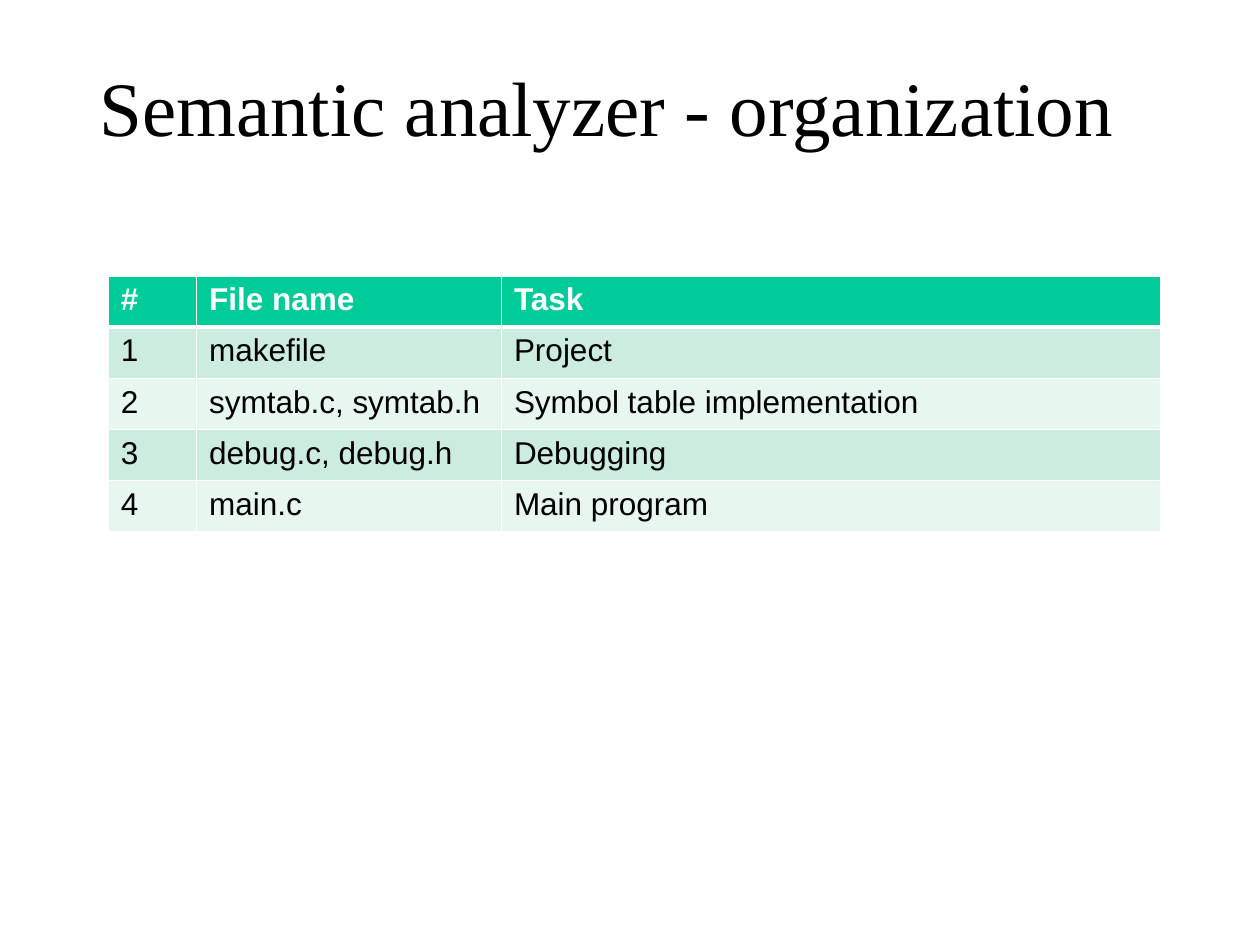
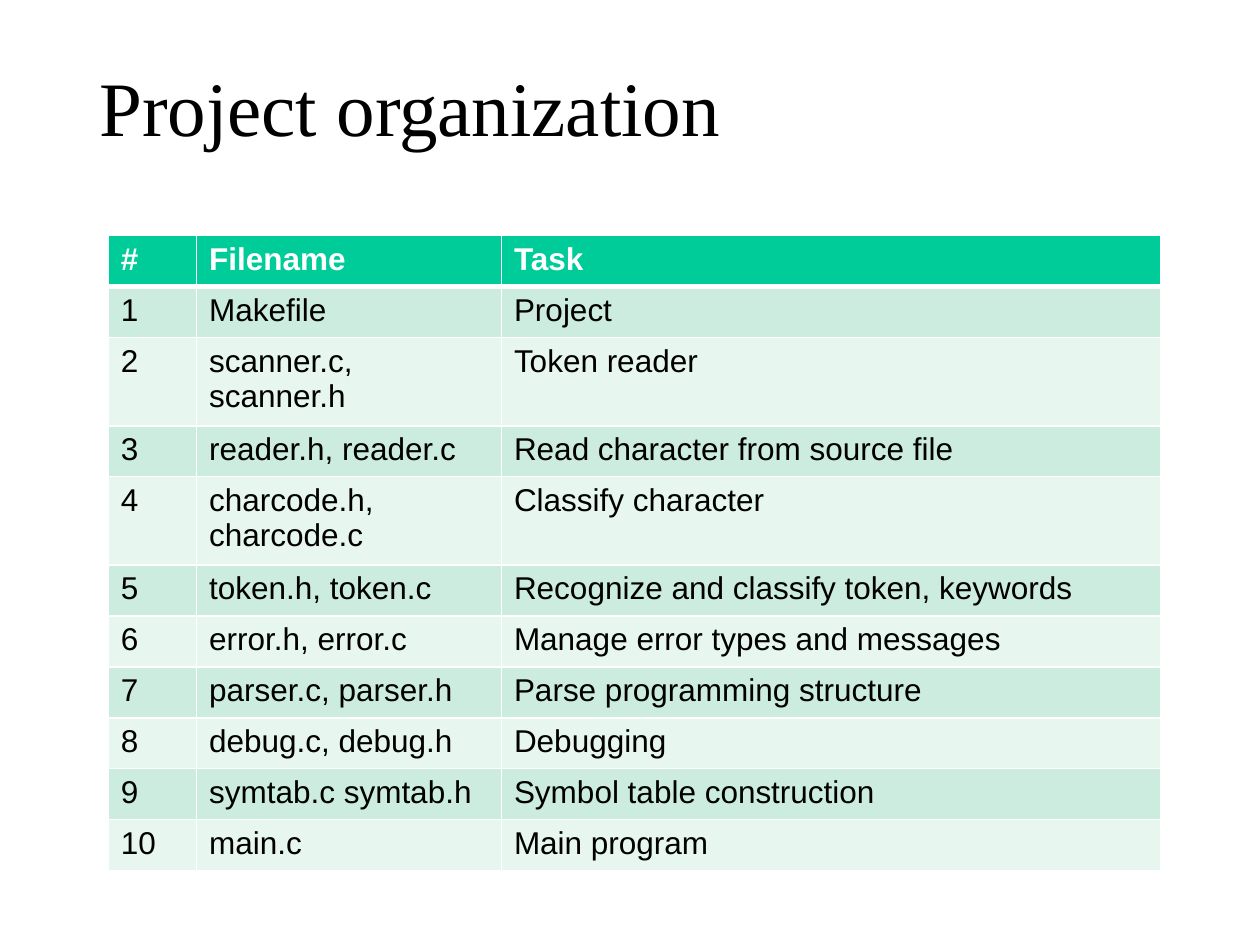
import pptx
import pptx.util
import pptx.dml.color
import pptx.enum.text
import pptx.oxml
import pptx.oxml.ns

Inches = pptx.util.Inches
Color = pptx.dml.color.RGBColor

WHITE = Color(0xFF, 0xFF, 0xFF)
BLACK = Color(0x00, 0x00, 0x00)
GREEN = Color(0x00, 0xCC, 0x99)
MINT = Color(0xCB, 0xEC, 0xDE)
PALE = Color(0xE7, 0xF6, 0xEF)

WIDTHS = (0.7, 2.42, 5.23)
TALL = 0.7

STAGE = [
    ("File name", "Task"),
    ("makefile", "Project"),
    ("symtab.c, symtab.h", "Symbol table implementation"),
    ("debug.c, debug.h", "Debugging"),
    ("main.c", "Main program"),
]

PROJECT = [
    ("Filename", "Task"),
    ("Makefile", "Project"),
    ("scanner.c, scanner.h", "Token reader"),
    ("reader.h, reader.c", "Read character from source file"),
    ("charcode.h, charcode.c", "Classify character"),
    ("token.h, token.c", "Recognize and classify token, keywords"),
    ("error.h, error.c", "Manage error types and messages"),
    ("parser.c, parser.h", "Parse programming structure"),
    ("debug.c, debug.h", "Debugging"),
    ("symtab.c symtab.h", "Symbol table construction"),
    ("main.c", "Main program"),
]


class Deck:
    def __init__(self):
        self.file = pptx.Presentation()
        self.file.slide_width = Inches(10)
        self.file.slide_height = Inches(7.5)
        self.slide = None

    def page(self, title):
        self.slide = self.file.slides.add_slide(self.file.slide_layouts[6])
        self.title(title)

    def run(self, para, text, font, size, color, bold=False):
        run = para.add_run()
        run.text = text
        run.font.name = font
        run.font.size = pptx.util.Pt(size)
        run.font.color.rgb = color
        run.font.bold = bold

    def title(self, text):
        box = self.slide.shapes.add_textbox(
            Inches(0.69), Inches(0.16), Inches(8.62), Inches(1.45))
        frame = box.text_frame
        frame.word_wrap = True
        frame.vertical_anchor = pptx.enum.text.MSO_ANCHOR.MIDDLE
        para = frame.paragraphs[0]
        para.line_spacing = 0.9
        self.run(para, text, "Times New Roman", 44, BLACK)

    def border(self, cell, side, width):
        line = pptx.oxml.parse_xml(
            f'<a:ln{side} {pptx.oxml.ns.nsdecls("a")} w="{pptx.util.Pt(width)}">'
            f'<a:solidFill><a:srgbClr val="{WHITE}"/></a:solidFill></a:ln{side}>')
        cell._tc.get_or_add_tcPr().append(line)

    def cell(self, cell, text, row):
        head = row == 0
        rules = {"L": 1, "R": 1, "T": 3 if row == 1 else 1, "B": 3 if head else 1}
        for side, width in rules.items():
            self.border(cell, side, width)
        cell.fill.solid()
        cell.fill.fore_color.rgb = GREEN if head else MINT if row % 2 else PALE
        para = cell.text_frame.paragraphs[0]
        self.run(para, text, "Arial", 18, WHITE if head else BLACK, head)

    def table(self, top, height, rows, tall=()):
        grid = self.slide.shapes.add_table(
            len(rows), len(WIDTHS), Inches(0.86), Inches(top),
            Inches(sum(WIDTHS)), Inches(height)).table
        for col, width in zip(grid.columns, WIDTHS):
            col.width = Inches(width)
        short = (height - TALL * len(tall)) / (len(rows) - len(tall))
        for row, entry in enumerate(rows):
            grid.rows[row].height = Inches(TALL if row in tall else short)
            for col, text in enumerate((str(row or "#"), *entry)):
                self.cell(grid.cell(row, col), text, row)


def main():
    deck = Deck()
    deck.page("Semantic analyzer - organization")
    deck.table(2.19, 2.03, STAGE)
    deck.page("Project organization")
    deck.table(1.87, 5.04, PROJECT, tall=(2, 4))
    deck.file.save("out.pptx")


if __name__ == "__main__":
    main()
